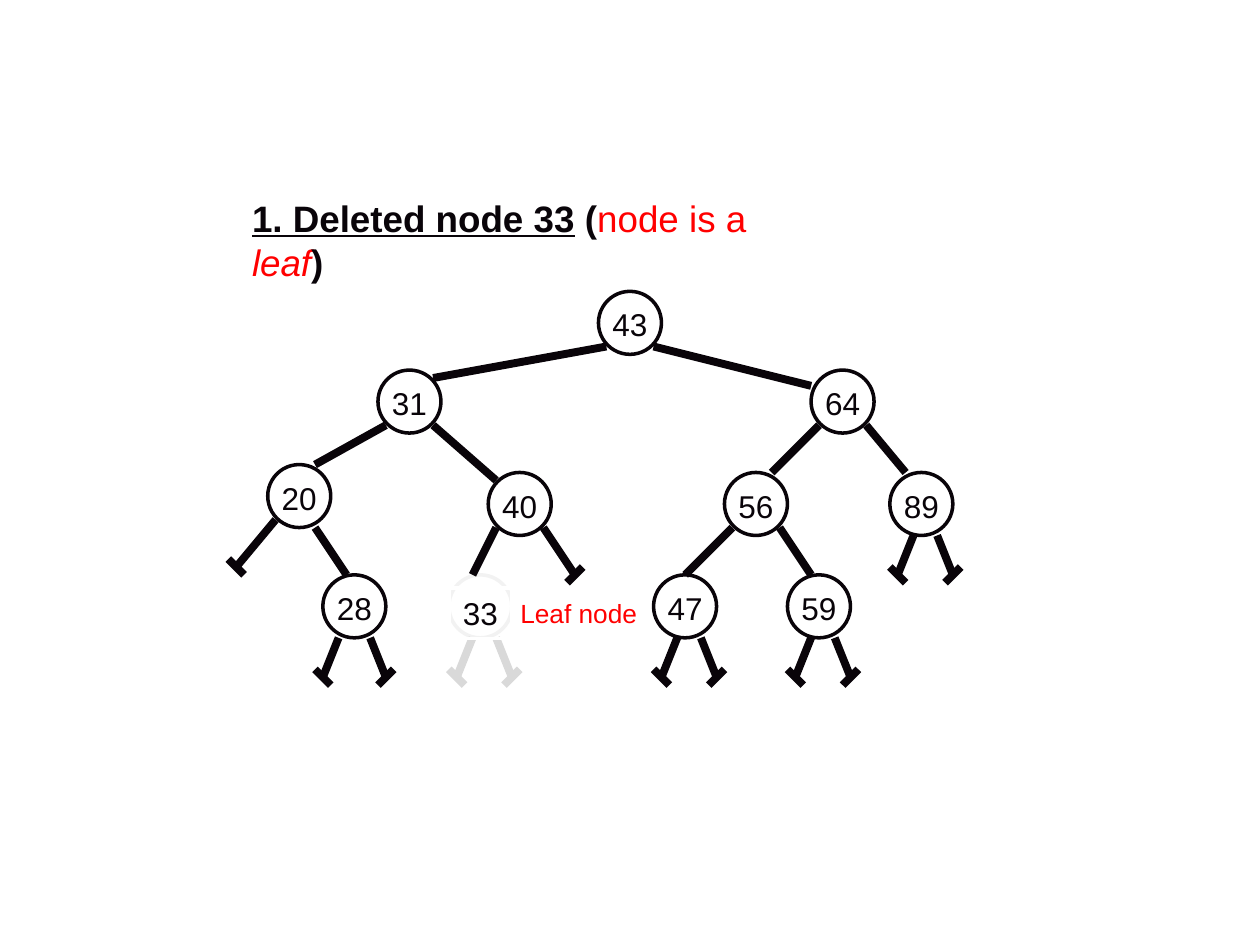
from lxml import etree
from pptx import Presentation
from pptx.dml.color import RGBColor
from pptx.enum.shapes import MSO_CONNECTOR, MSO_SHAPE
from pptx.enum.text import MSO_ANCHOR, PP_ALIGN
from pptx.oxml.ns import qn
from pptx.util import Inches, Pt

LINE = MSO_CONNECTOR.STRAIGHT
OVAL, RECT = MSO_SHAPE.OVAL, MSO_SHAPE.RECTANGLE
TOP = MSO_ANCHOR.TOP
LEFT, CENTER = PP_ALIGN.LEFT, PP_ALIGN.CENTER

INK = RGBColor(0x09, 0x04, 0x09)
RED = RGBColor(0xFF, 0x00, 0x00)
WHITE = RGBColor(0xFF, 0xFF, 0xFF)
PALE = RGBColor(0xF2, 0xF2, 0xF2)
GREY = RGBColor(0xD9, 0xD9, 0xD9)

FONT = "Arial"
GONE = 33
SIZE = 8

NODES = {
    43: (76, 37), 31: (48, 47), 64: (103, 47), 20: (34, 59),
    40: (62, 60), 56: (92, 60), 89: (113, 60), 28: (41, 73),
    33: (57, 73), 47: (83, 73), 59: (100, 73),
}
EDGES = [
    ((77, 44), (55, 48)), ((83, 44), (103, 49)),
    ((49, 54), (40, 59)), ((55, 54), (63, 61)),
    ((104, 54), (98, 60)), ((110, 54), (115, 60)),
    ((40, 67), (44, 73)), ((63, 67), (60, 73)),
    ((93, 67), (87, 73)), ((99, 67), (103, 73)),
]
FEET = {28: (41, 49), 33: (58, 65), 47: (84, 91), 59: (101, 108), 89: (114, 121)}


def grid(*units):
    return [Inches(unit / 16) for unit in units]


def write(frame, runs, size, color=INK, align=LEFT, wrap=True):
    frame.word_wrap = wrap
    frame.vertical_anchor = TOP
    para = frame.paragraphs[0]
    para.alignment = align
    for words, style in runs:
        run = para.add_run()
        run.text = words
        font = run.font
        font.name, font.size = FONT, Pt(size)
        font.bold = style.get("bold", False)
        font.italic = style.get("italic", False)
        font.underline = style.get("under", False)
        font.color.rgb = style.get("color", color)


def outline(slide, kind, box, color):
    shape = slide.shapes.add_shape(kind, *grid(*box))
    shape.shadow.inherit = False
    shape.fill.background()
    shape.line.color.rgb = color
    shape.line.width = Pt(2)
    return shape


def label(slide, key, drop=1):
    x, y = NODES[key]
    shape = outline(slide, RECT, (x, y + drop, SIZE, 6.4), WHITE)
    write(shape.text_frame, [(str(key), {})], 18, align=CENTER)


def ring(slide, key):
    color = PALE if key == GONE else INK
    outline(slide, OVAL, (*NODES[key], SIZE, SIZE), color)


def link(shapes, start, end, color=INK):
    line = shapes.add_connector(LINE, *grid(*start, *end))
    line.line.color.rgb = color
    line.line.width = Pt(4.5)
    etree.SubElement(line._element.spPr, qn("a:effectLst"))


def stub(slide, start, foot, color=INK):
    shapes = slide.shapes.add_group_shape().shapes
    x, y = foot
    tilt = 1 if x < start[0] else -1
    link(shapes, start, foot, color)
    link(shapes, (x - 1, y - tilt), (x + 1, y + tilt), color)


def legs(slide, key):
    top = NODES[key][1] + SIZE
    color = GREY if key == GONE else INK
    left, right = FEET[key]
    stub(slide, (left + 2, top), (left, top + 5), color)
    stub(slide, (right - 2, top), (right, top + 5), color)


def head(slide):
    title = slide.shapes.title
    title.left, title.top = Inches(1.9), Inches(1.5)
    title.width, title.height = Inches(4.77), Inches(0.45)
    write(title.text_frame, [
        ("1. Deleted node 33", {"bold": True, "under": True}),
        (" (", {"bold": True}),
        ("node is a ", {"color": RED}),
        ("leaf", {"color": RED, "italic": True}),
        (")", {"bold": True}),
    ], 21, wrap=False)


def main():
    deck = Presentation()
    deck.slide_width, deck.slide_height = Inches(10), Inches(7.5)
    slide = deck.slides.add_slide(deck.slide_layouts[5])
    head(slide)
    for key in NODES:
        if key != GONE:
            label(slide, key)
        ring(slide, key)
    for start, end in EDGES:
        link(slide.shapes, start, end)
    for key in FEET:
        legs(slide, key)
    stub(slide, (35, 66), (30, 72))
    stub(slide, (69, 67), (73, 73))
    note = slide.shapes.add_textbox(*grid(64.5, 75, 18, 5.6))
    write(note.text_frame, [("Leaf node", {})], 15, RED, wrap=False)
    label(slide, GONE, 1.7)
    deck.save("out.pptx")


if __name__ == "__main__":
    main()
